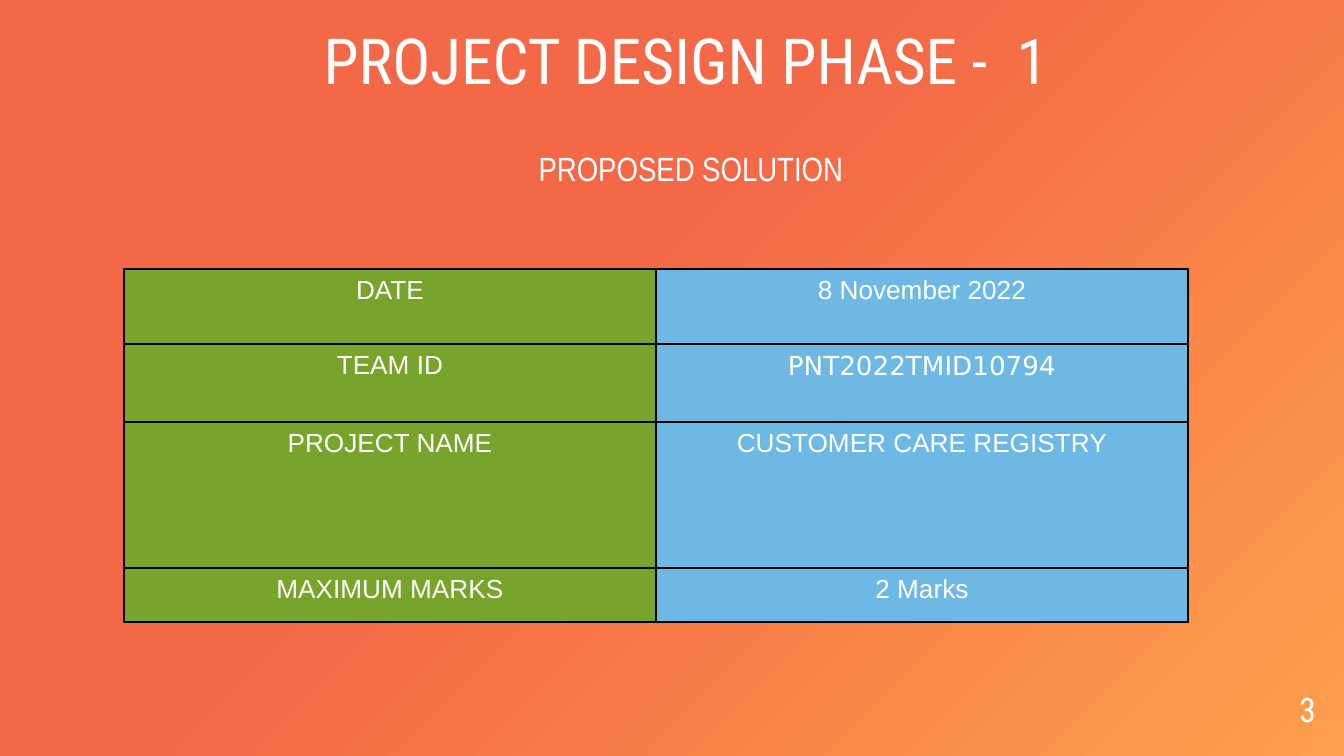
from dataclasses import dataclass

from pptx import Presentation
from pptx.dml.color import RGBColor
from pptx.enum.text import MSO_ANCHOR as Anchor, MSO_AUTO_SIZE as AutoSize, PP_ALIGN as Align
from pptx.oxml import parse_xml
from pptx.oxml.ns import nsdecls, qn
from pptx.util import Emu, Pt

EMU_PER_PIXEL = 914400 / 134.4


@dataclass(frozen=True)
class Theme:
    """Hold the colours, fonts and type sizes of the slide."""

    text: str = "FFFFFF"
    label_fill: str = "79A42B"
    value_fill: str = "6DB9E4"
    border: str = "000000"
    gradient: tuple = ((0, "FF9F4D"), (58, "F36846"), (100, "F36846"))
    heading_font: str = "Roboto Condensed"
    subtitle_font: str = "Arial Narrow"
    table_font: str = "Arial"
    code_font: str = "DejaVu Sans"
    title_size: int = 34
    body_size: int = 18
    table_size: int = 14
    border_width: float = 0.75


THEME = Theme()
PROJECT_ROWS = (
    (75, "DATE", "8 November 2022", THEME.table_font),
    (78, "TEAM ID", "PNT2022TMID10794", THEME.code_font),
    (146, "PROJECT NAME", "CUSTOMER CARE REGISTRY", THEME.table_font),
    (54, "MAXIMUM MARKS", "2 Marks", THEME.table_font),
)


def px(length):
    """Turn pixels into EMU."""
    return Emu(round(length * EMU_PER_PIXEL))


def paint_background(slide):
    """Fill the background with a glow from the bottom right corner."""
    slide.background.fill.solid()
    properties = slide.element.find(".//" + qn("p:bgPr"))
    stops = "".join(
        f'<a:gs pos="{position * 1000}"><a:srgbClr val="{color}"/></a:gs>'
        for position, color in THEME.gradient
    )
    gradient = parse_xml(
        f'<a:gradFill {nsdecls("a")} rotWithShape="1"><a:gsLst>{stops}</a:gsLst>'
        '<a:path path="circle"><a:fillToRect l="100000" t="100000"/></a:path></a:gradFill>'
    )
    properties.replace(properties.find(qn("a:solidFill")), gradient)


def add_run(paragraph, text, font, size):
    """Append a white run of text to a paragraph."""
    run = paragraph.add_run()
    run.text = text
    run.font.name = font
    run.font.size = Pt(size)
    run.font.color.rgb = RGBColor.from_string(THEME.text)
    return run


def set_text(shape, text, font, size, align, spacing, anchor=Anchor.BOTTOM, insets=(0, 0, 0, 0)):
    """Write one line into a shape with the given frame settings."""
    frame = shape.text_frame
    frame.word_wrap = True
    frame.auto_size = AutoSize.NONE
    frame.vertical_anchor = anchor
    frame.margin_left, frame.margin_top, frame.margin_right, frame.margin_bottom = map(px, insets)
    paragraph = frame.paragraphs[0]
    paragraph.alignment = align
    paragraph.line_spacing = spacing
    return add_run(paragraph, text, font, size)


def add_text_shadow(run):
    """Give a run a soft shadow below its letters."""
    shadow = parse_xml(
        f'<a:effectLst {nsdecls("a")}><a:outerShdw blurRad="38100" dist="38100" dir="2700000">'
        '<a:srgbClr val="000000"><a:alpha val="43000"/></a:srgbClr></a:outerShdw></a:effectLst>'
    )
    run.font.fill
    run._r.rPr.find(qn("a:solidFill")).addnext(shadow)


def add_title(slide, text):
    """Place and format the title placeholder."""
    title = slide.shapes.title
    title.left, title.top, title.width, title.height = map(px, (114, 54, 1116, 44))
    run = set_text(title, text, THEME.heading_font, THEME.title_size,
                   Align.CENTER, 0.9, insets=(28, 0, 0, 0))
    add_text_shadow(run)


def add_label(slide, box, *text_settings, **frame_settings):
    """Add a text box with one line of text."""
    label = slide.shapes.add_textbox(*map(px, box))
    set_text(label, *text_settings, **frame_settings)


def add_borders(cell):
    """Draw a thin line on every side of a cell."""
    properties = cell._tc.get_or_add_tcPr()
    for index, side in enumerate(("lnL", "lnR", "lnT", "lnB")):
        line = parse_xml(
            f'<a:{side} {nsdecls("a")} w="{Pt(THEME.border_width)}"><a:solidFill>'
            f'<a:srgbClr val="{THEME.border}"/></a:solidFill></a:{side}>'
        )
        properties.insert(index, line)


def fill_cell(cell, text, font, fill):
    """Write and colour one table cell."""
    cell.fill.solid()
    cell.fill.fore_color.rgb = RGBColor.from_string(fill)
    add_borders(cell)
    paragraph = cell.text_frame.paragraphs[0]
    paragraph.alignment = Align.CENTER
    add_run(paragraph, text, font, THEME.table_size)


def add_project_table(slide, left, top, column_width):
    """Add the table of project details."""
    height = sum(row[0] for row in PROJECT_ROWS)
    frame = slide.shapes.add_table(
        len(PROJECT_ROWS), 2, px(left), px(top), px(2 * column_width), px(height)
    )
    table = frame.table
    table.first_row = False
    table.horz_banding = False
    for column in table.columns:
        column.width = px(column_width)
    for row, (row_height, label, value, value_font) in zip(table.rows, PROJECT_ROWS):
        row.height = px(row_height)
        fill_cell(row.cells[0], label, THEME.table_font, THEME.label_fill)
        fill_cell(row.cells[1], value, value_font, THEME.value_fill)


def main():
    """Build and save the presentation."""
    presentation = Presentation()
    presentation.slide_width, presentation.slide_height = px(1344), px(756)
    slide = presentation.slides.add_slide(presentation.slide_layouts[5])
    paint_background(slide)
    add_title(slide, "PROJECT DESIGN PHASE -  1")
    add_label(slide, (114, 98, 1202, 638), "PROPOSED SOLUTION", THEME.subtitle_font,
              THEME.body_size, Align.CENTER, 1.15, anchor=Anchor.TOP, insets=(0, 44, 48, 0))
    add_label(slide, (1235, 683, 81, 47), "3", THEME.heading_font,
              THEME.body_size, Align.RIGHT, 0.9)
    add_project_table(slide, 124, 269, 532)
    presentation.save("out.pptx")


if __name__ == "__main__":
    main()
